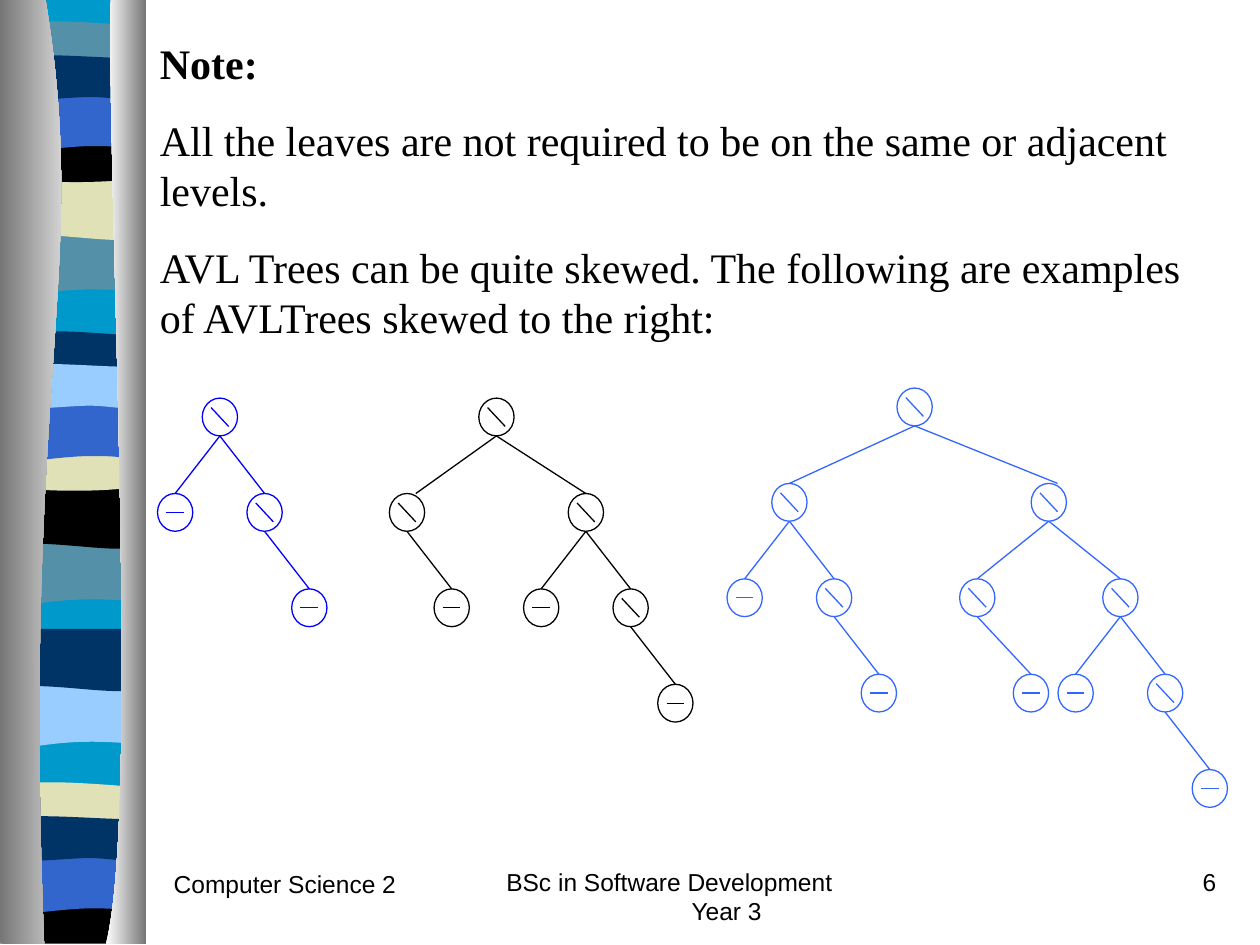
from lxml import etree
from pptx import Presentation
from pptx import util as u
from pptx.dml.color import RGBColor
from pptx.enum import shapes, text
from pptx.oxml.ns import qn

NODE_WIDTH, NODE_HEIGHT = 0.28, 0.3
COLUMN, LEVEL = 0.355, 0.757

# Band outlines as (bottom edge right to left, top edge left to right), measured
# from the band's top corner; edges are chains of cubic Bezier points.
FLAT_TOP = [(0, 0), (1.08, 0)]
HUMP_TOP = [(0, 0), (0.66, 0.05), (0.85, 0), (1.08, 0)]
PROFILES = {
    "wave": ([(1.08, 0.47), (0.33, 0.39), (0.18, 0.55), (0, 0.47)], FLAT_TOP),
    "swell": ([(1.08, 0.47), (0.9, 0.55), (0.33, 0.41), (0, 0.47)], FLAT_TOP),
    "crest": ([(1.08, 0.24), (0.9, 0.28), (0.18, 0.28), (0, 0.24)],
              [(0, 0), (0.07, -0.05), (0.23, -0.04), (0.41, -0.04),
               (0.59, -0.04), (0.94, -0.01), (1.08, 0)]),
    "hump": ([(1.08, 0.32), (0.9, 0.38), (0.18, 0.38), (0, 0.32)], HUMP_TOP),
    "arch": ([(1.08, 0.47), (0.91, 0.42), (0.84, 0.42), (0.66, 0.42),
              (0.48, 0.42), (0.16, 0.47), (0, 0.47)], FLAT_TOP),
    "ripple": ([(1.08, 0.31), (1.01, 0.36), (0.84, 0.31), (0.66, 0.31),
                (0.48, 0.31), (0.11, 0.36), (0, 0.31)],
               [(0, 0), (0.15, -0.05), (0.73, 0), (0.91, 0),
                (1.09, 0), (1.04, 0), (1.08, 0)]),
    "foot": ([(1.08, 0.37), (0, 0.37)], HUMP_TOP),
}
# Each cycle: left edge, then (profile, top, colour) from back to front.
BAND_CYCLES = [
    (0.06, [("wave", 1.85, "5490A8"), ("swell", 1.41, "E1E1B7"),
            ("crest", 0.21, "5490A8"), ("hump", 1.08, "000000"),
            ("arch", 0.74, "3366CC"), ("ripple", 0.46, "003366")]),
    (0.05, [("wave", 4.31, "5490A8"), ("swell", 3.86, "000000"),
            ("crest", 2.67, "003366"), ("hump", 3.53, "E1E1B7"),
            ("arch", 3.2, "3366CC"), ("ripple", 2.91, "99CCFF")]),
    (0.05, [("wave", 5.44, "99CCFF"), ("swell", 4.99, "003366"),
            ("crest", 6.25, "E1E1B7"), ("foot", 7.12, "000000"),
            ("arch", 6.79, "3366CC"), ("ripple", 6.5, "003366")]),
]


# A node is (column, children, optional shift of the incoming edge's end).
def leaf(column):
    return (column, [])


TREES = [
    (1.25, 3.16, "0000FF", (1, [leaf(0), (2, [leaf(3)])])),
    (3.09, 3.16, "000000",
     (2, [(0, [leaf(1)], 0.07), (4, [leaf(3), (5, [leaf(6)])])])),
    (5.77, 3.08, "3366FF",
     (3.8, [(1, [leaf(0), (2, [leaf(3)])]),
            (6.8, [(5.2, [leaf(6.4)]),
                   (8.4, [leaf(7.4), (9.4, [leaf(10.4)])])], 0.07)])),
]


def color(value):
    return RGBColor.from_string(value)


def add_outline(parent, edges, left=0, top=0):
    """Draw a closed outline; edges of two points are straight, longer ones curved."""
    points = [(u.Inches(left + x), u.Inches(top + y)) for edge in edges for x, y in edge]
    builder = parent.build_freeform(*points[0])
    builder.add_line_segments(points[1:], close=True)
    shape = builder.convert_to_shape()
    shape.shadow.inherit = False
    shape.line.fill.background()

    segments = list(shape._element.iter(qn("a:lnTo")))
    position = 0
    for edge in edges:
        if len(edge) > 2:
            for start in range(position, position + len(edge) - 1, 3):
                bend_segments(segments[start:start + 3])
        position += len(edge)
    return shape


def bend_segments(segments):
    """Turn three line segments into one cubic curve through their points."""
    curve = etree.Element(qn("a:cubicBezTo"))
    segments[0].addprevious(curve)
    for segment in segments:
        curve.append(segment[0])
        segment.getparent().remove(segment)


def fill_solid(shape, value):
    shape.fill.solid()
    shape.fill.fore_color.rgb = color(value)


def fill_gradient(shape, values):
    shape.fill.gradient()
    shape.fill.gradient_angle = 0
    for stop, value in zip(shape.fill.gradient_stops, values):
        stop.color.rgb = color(value)


def add_ribbon(slide):
    ribbon = slide.shapes.add_group_shape().shapes
    backdrop = add_outline(ribbon, [[(0, 0), (1.08, 0)], [(1.08, 7.48), (0, 7.48)]], 0.06, -0.01)
    fill_solid(backdrop, "0099CC")
    for left, bands in BAND_CYCLES:
        for profile, top, value in bands:
            fill_solid(add_outline(ribbon, PROFILES[profile], left, top), value)
    left_curve = [(0.36, -0.01), (0.72, 2.16), (0.17, 2.96), (0.35, 7.49)]
    right_curve = [(0.88, -0.01), (0.84, 1.25), (1.12, 6.46), (0.84, 7.49)]
    for curve, outer, values in ((left_curve, 0, ("767676", "FFFFFF")),
                                 (right_curve, 1.16, ("FFFFFF", "767676"))):
        edges = [curve, [(outer, 7.49), (outer, -0.01)]]
        fill_gradient(add_outline(ribbon, edges), values)


def add_line(parent, start, end, value):
    line = parent.add_connector(shapes.MSO_CONNECTOR.STRAIGHT,
                                *[u.Inches(length) for length in (*start, *end)])
    line.line.color.rgb = color(value)
    line.line.width = u.Pt(0.75)
    etree.SubElement(line._element.spPr, qn("a:effectLst"))


def add_node(parent, node, left, top, value):
    """Draw a node and its subtree; inner nodes lean right, leaves are balanced."""
    column, children = node[:2]
    x = left + column * COLUMN
    circle = parent.add_shape(shapes.MSO_SHAPE.OVAL, u.Inches(x), u.Inches(top),
                              u.Inches(NODE_WIDTH), u.Inches(NODE_HEIGHT))
    circle.shadow.inherit = False
    circle.fill.background()
    circle.line.color.rgb = color(value)
    circle.line.width = u.Pt(0.75)

    center_x, center_y = x + NODE_WIDTH / 2, top + NODE_HEIGHT / 2
    slope = 0.075 if children else 0
    add_line(parent, (center_x - 0.07, center_y - slope),
             (center_x + 0.07, center_y + slope), value)
    for child in children:
        shift = child[2] if len(child) > 2 else 0
        child_x = left + child[0] * COLUMN + NODE_WIDTH / 2 + shift
        add_line(parent, (center_x, top + NODE_HEIGHT), (child_x, top + LEVEL), value)
        add_node(parent, child, left, top + LEVEL, value)


def add_tree(slide, left, top, value, root):
    add_node(slide.shapes.add_group_shape().shapes, root, left, top, value)


def add_text(slide, box, lines, font, space_before, alignment=text.PP_ALIGN.LEFT):
    """Add one paragraph for each (wording, bold) pair."""
    frame = slide.shapes.add_textbox(*[u.Inches(length) for length in box]).text_frame
    frame.word_wrap = True
    for index, (wording, bold) in enumerate(lines):
        paragraph = frame.paragraphs[0] if index == 0 else frame.add_paragraph()
        paragraph.alignment = alignment
        paragraph.space_before = u.Pt(space_before)
        run = paragraph.add_run()
        run.text = wording
        run.font.color.rgb = color("000000")
        for name, setting in {**font, "bold": bold}.items():
            setattr(run.font, name, setting)
    return frame


def add_note(slide, box):
    add_text(slide, box, [
        ("Note:", True),
        ("All the leaves are not required to be on the same or adjacent levels.", False),
        ("AVL Trees can be quite skewed. The following are examples of AVLTrees "
         "skewed to the right:", False),
    ], {"name": "Times New Roman", "size": u.Pt(24)}, 15)


def add_footer(slide, top):
    font = {"name": "Arial", "size": u.Pt(14)}
    course = add_text(slide, (3.92, top, 3.17, 0.5),
                      [("BSc in Software Development Year 3", False)], font, 8.8)
    hanging = u.Inches(1.47)
    properties = course.paragraphs[0]._p.get_or_add_pPr()
    properties.set("marL", str(hanging))
    properties.set("indent", str(-hanging))
    add_text(slide, (7.67, top, 2.08, 0.5), [("6", False)], font, 8.8, text.PP_ALIGN.RIGHT)
    add_text(slide, (1.28, top + 0.02, 2.08, 0.5), [("Computer Science 2", False)], font, 8.8)


def main():
    presentation = Presentation()
    presentation.slide_width, presentation.slide_height = u.Inches(10), u.Inches(7.5)
    slide = presentation.slides.add_slide(presentation.slide_layouts[6])
    add_ribbon(slide)
    add_note(slide, (1.17, 0.25, 8.42, 2.52))
    for tree in TREES:
        add_tree(slide, *tree)
    add_footer(slide, 6.83)
    presentation.save("out.pptx")


if __name__ == "__main__":
    main()
